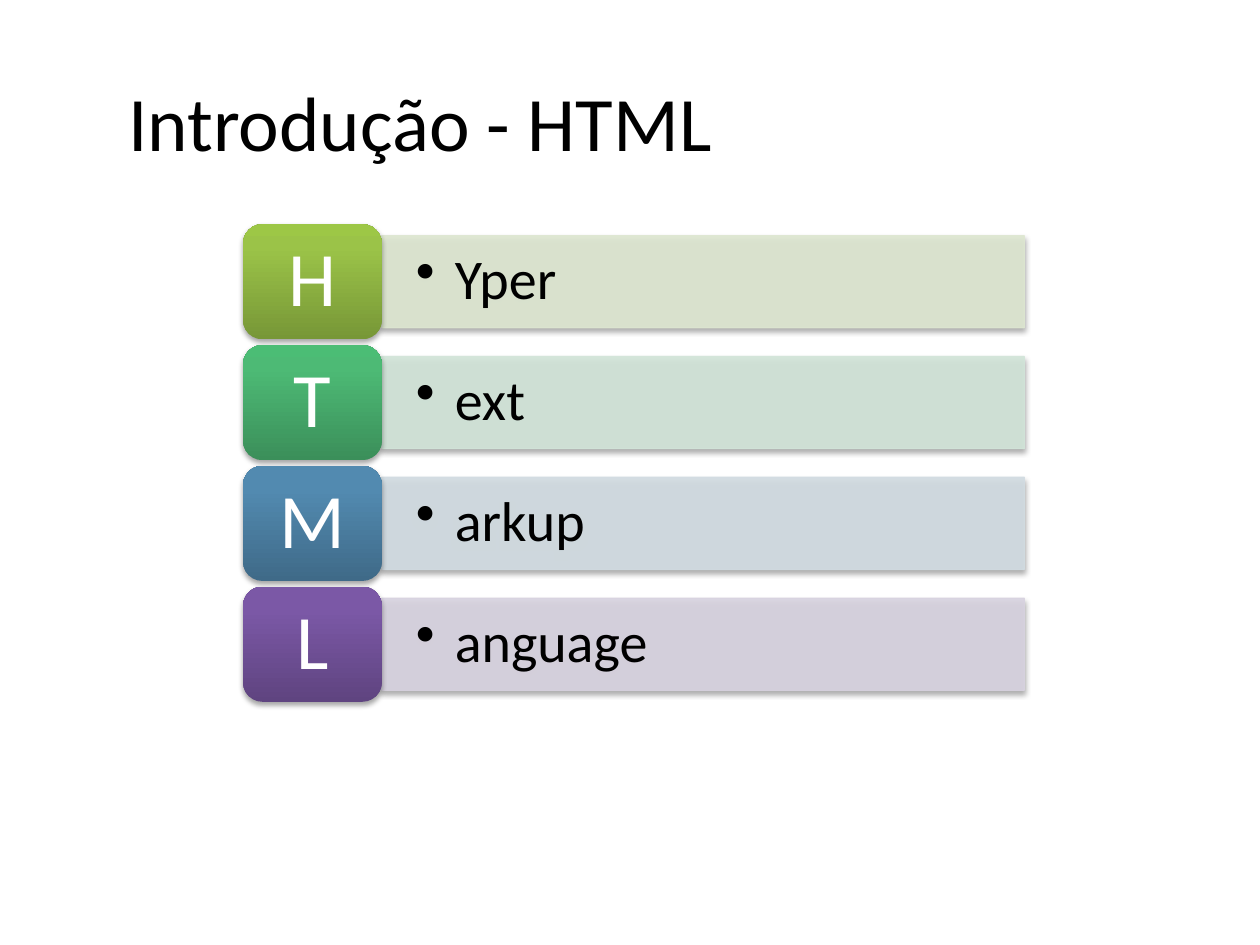
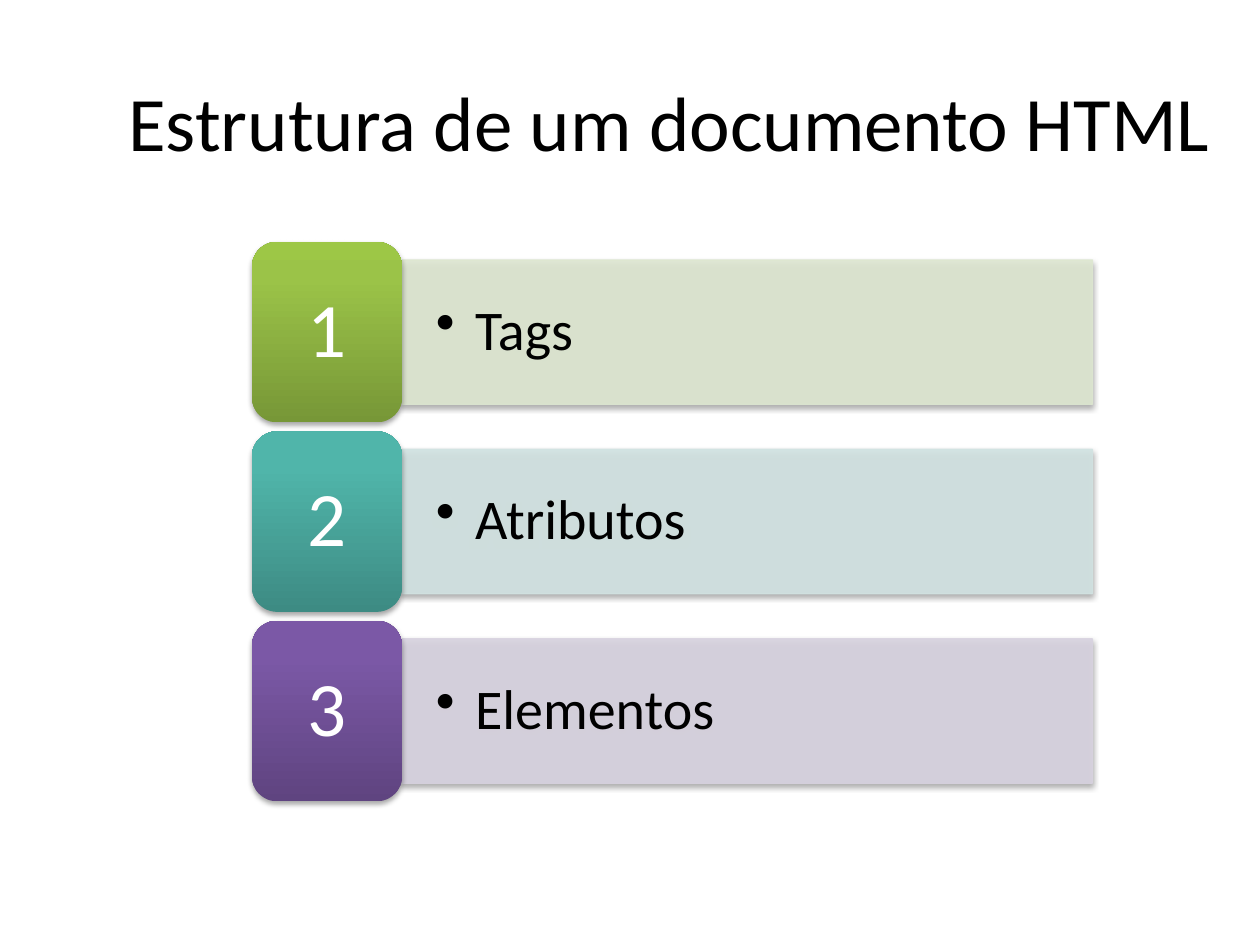
from lxml.etree import SubElement as Sub
from pptx import Presentation
from pptx.dml.color import RGBColor as Rgb
from pptx.enum.shapes import MSO_SHAPE as Kind
from pptx.enum.text import MSO_ANCHOR as Anchor, PP_ALIGN as Align
from pptx.oxml.ns import qn
from pptx.util import Inches, Pt

FONT = "Calibri"
INK = {"black": "000000", "white": "FFFFFF"}
BARS = {"lime": "DEE7D1", "green": "D2E5D9", "teal": "D2E3E2",
        "blue": "D2DCE2", "plum": "D8D3E0"}
TILES = {"lime": ("779737", "9BC348", "9DC746"),
         "green": ("3B8F5A", "4DBA75", "4BBD75"),
         "teal": ("3D8B83", "50B5AA", "4EB8AC"),
         "blue": ("3F6A88", "528AB0", "518BB3"),
         "plum": ("5F4480", "7B58A6", "7C57A8")}
STOPS = (0, 80, 100)
GAP, INSET = 0.05, 0.1

PAGES = [
    {"title": "Introdução - HTML",
     "left": 1.93, "top": 1.78, "height": 3.79, "tile": 1.1, "bar": 5.1,
     "rows": [("H", "Yper", "lime"), ("T", "ext", "green"),
              ("M", "arkup", "blue"), ("L", "anguage", "plum")]},
    {"title": "Estrutura de um documento HTML",
     "left": 2, "top": 1.92, "height": 4.44, "tile": 1.19, "bar": 5.48,
     "rows": [("1", "Tags", "lime"), ("2", "Atributos", "teal"),
              ("3", "Elementos", "plum")]},
]


def write(shape, text, size, color, align=Align.LEFT, pads=(0.1, 0.05)):
    frame = shape.text_frame
    frame.text = text
    frame.word_wrap = True
    frame.vertical_anchor = Anchor.MIDDLE
    frame.margin_left = frame.margin_right = Inches(pads[0])
    frame.margin_top = frame.margin_bottom = Inches(pads[1])
    para = frame.paragraphs[0]
    para.alignment = align
    font = para.runs[0].font
    font.name, font.size = FONT, Pt(size)
    font.color.rgb = Rgb.from_string(INK[color])
    return para


def add_box(slide, kind, *place):
    shape = slide.shapes.add_shape(kind, *map(Inches, place))
    shape.shadow.inherit = False
    effects = shape._element.spPr.find(qn("a:effectLst"))
    shade = Sub(effects, qn("a:outerShdw"), blurRad=str(Pt(3.1)),
                dist=str(Pt(1.8)), dir="5400000", rotWithShape="0")
    tint = Sub(shade, qn("a:srgbClr"), val=INK["black"])
    Sub(tint, qn("a:alpha"), val="35000")
    return shape


def add_bar(slide, place, text, hue):
    bar = add_box(slide, Kind.RECTANGLE, *place)
    bar.line.width = Pt(0.75)
    for fill in (bar.fill, bar.line.fill):
        fill.solid()
        fill.fore_color.rgb = Rgb.from_string(BARS[hue])
    for tint in bar._element.spPr.iterfind(".//" + qn("a:solidFill")):
        Sub(tint[0], qn("a:alpha"), val="90000")
    para = write(bar, text, 32, "black", pads=(0.27, 0.14))
    para.level = 1
    para.line_spacing = 0.9
    props = para._p.get_or_add_pPr()
    props.set("marL", str(Inches(0.31)))
    props.set("indent", str(-Inches(0.31)))
    Sub(props, qn("a:buChar"), char="•")


def add_tile(slide, place, text, hue):
    tile = add_box(slide, Kind.ROUNDED_RECTANGLE, *place)
    tile.line.fill.background()
    tile.fill.gradient()
    tile.fill.gradient_angle = 90
    stops = tile._element.spPr.find(".//" + qn("a:gsLst"))
    stops.clear()
    for spot, color in zip(STOPS, TILES[hue]):
        stop = Sub(stops, qn("a:gs"), pos=str(spot * 1000))
        Sub(stop, qn("a:srgbClr"), val=color)
    para = write(tile, text, 44, "white", Align.CENTER, (0.18, 0.09))
    para.line_spacing = 0.9


def add_page(deck, page):
    slide = deck.slides.add_slide(deck.slide_layouts[6])
    rows, left, wide = page["rows"], page["left"], page["tile"]
    high = page["height"] / (len(rows) + GAP * (len(rows) - 1))
    for i, (mark, word, hue) in enumerate(rows):
        top = page["top"] + i * high * (1 + GAP)
        bar = (left + wide, top + INSET * high,
               page["bar"], high * (1 - 2 * INSET))
        add_bar(slide, bar, word, hue)
        add_tile(slide, (left, top, wide, high), mark, hue)
    title = slide.shapes.add_textbox(*map(Inches, (0.92, 0.33, 8.83, 1.25)))
    write(title, page["title"], 44, "black")


def main():
    """Build the HTML lesson slides."""
    deck = Presentation()
    deck.slide_width, deck.slide_height = Inches(10), Inches(7.5)
    for page in PAGES:
        add_page(deck, page)
    deck.save("out.pptx")


if __name__ == "__main__":
    main()
